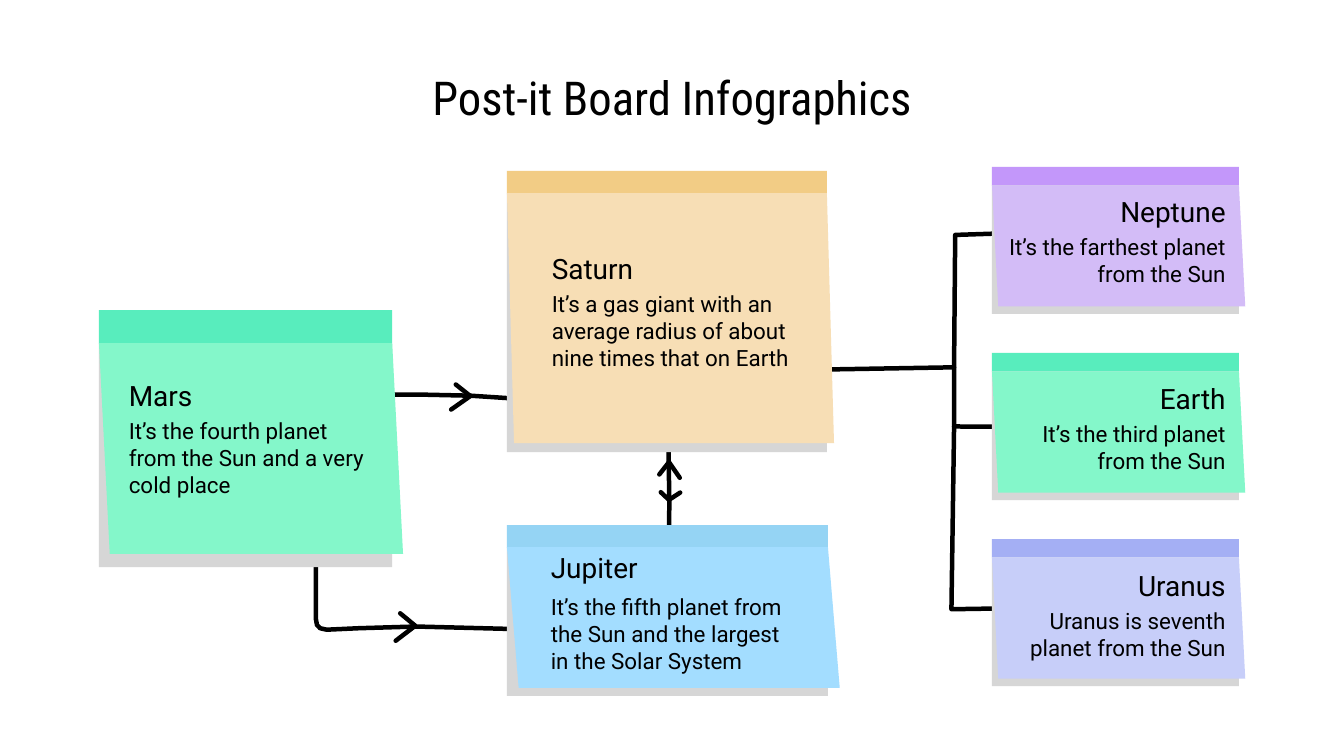
from lxml import etree
from pptx import Presentation
from pptx.dml.color import RGBColor
from pptx.enum.shapes import MSO_SHAPE
from pptx.enum.text import MSO_ANCHOR, PP_ALIGN
from pptx.oxml.ns import qn
from pptx.util import Pt

RECTANGLE = MSO_SHAPE.RECTANGLE
MIDDLE = MSO_ANCHOR.MIDDLE
LEFT, CENTER, RIGHT = PP_ALIGN.LEFT, PP_ALIGN.CENTER, PP_ALIGN.RIGHT

BLACK = RGBColor(0x00, 0x00, 0x00)
SHADOW = RGBColor(0xD6, 0xD6, 0xD6)
GREEN, GREEN_BAR = RGBColor(0x84, 0xF7, 0xCA), RGBColor(0x58, 0xED, 0xBD)
SAND, SAND_BAR = RGBColor(0xF7, 0xDE, 0xB5), RGBColor(0xF2, 0xCC, 0x85)
BLUE, BLUE_BAR = RGBColor(0xA3, 0xDD, 0xFF), RGBColor(0x95, 0xD4, 0xF4)
PURPLE, PURPLE_BAR = RGBColor(0xD3, 0xBC, 0xF7), RGBColor(0xC3, 0x97, 0xFA)
INDIGO, INDIGO_BAR = RGBColor(0xC7, 0xCE, 0xF9), RGBColor(0xA4, 0xAF, 0xF4)

presentation = Presentation()
presentation.slide_width, presentation.slide_height = Pt(720), Pt(405)
slide = presentation.slides.add_slide(presentation.slide_layouts[6])


def add_outline(contours, close):
    """Draw one freeform from lists of (x, y) points given in points."""
    contours = [[(Pt(x), Pt(y)) for x, y in contour] for contour in contours]
    builder = slide.shapes.build_freeform(*contours[0][0])
    for number, contour in enumerate(contours):
        if number:
            builder.move_to(*contour[0])
        builder.add_line_segments(contour[1:], close=close)
    shape = builder.convert_to_shape()
    shape.shadow.inherit = False
    return shape


def add_text(text, left, top, width, height, size, align, font_name="Roboto"):
    box = slide.shapes.add_textbox(Pt(left), Pt(top), Pt(width), Pt(height))
    frame = box.text_frame
    frame_format = {"word_wrap": True, "vertical_anchor": MIDDLE}
    frame_format.update({f"margin_{side}": Pt(7.2)
                         for side in ("left", "top", "right", "bottom")})
    for name, value in frame_format.items():
        setattr(frame, name, value)
    paragraph = frame.paragraphs[0]
    paragraph.alignment = align
    run = paragraph.add_run()
    run.text = text
    for name, value in {"name": font_name, "size": Pt(size)}.items():
        setattr(run.font, name, value)
    run.font.color.rgb = BLACK


add_text("Post-it Board Infographics", 55.8, 36, 608.4, 31.7, 25, CENTER,
         "Roboto Condensed")

# Hand-drawn arrows: each is one or more strokes
mars_to_jupiter = [
    [(169.9, 282.8), (169.2, 303), (169.2, 331.5), (169.8, 334.8), (171.5, 336.6),
     (175, 337.4), (192.2, 336.6), (223, 335.7), (285.8, 337.3)],
    [(214.4, 328.6), (222.5, 335.3), (212, 343.3)],
]
mars_to_saturn = [
    [(181.4, 211.7), (224.6, 211.4), (252, 212), (285.8, 214.2)],
    [(244.2, 206), (252, 212.2), (241.7, 219.4)],
]
saturn_to_small_notes = [
    [(544.3, 124.8), (511.7, 125.9), (511.1, 196), (511.1, 228.5), (509.7, 326.4),
     (574, 325.4)],
    [(441, 198), (511.1, 196.8)],
    [(511.1, 228.5), (597.6, 229)],
]
saturn_and_jupiter = [
    [(357.8, 221), (358.6, 269), (358, 317)],
    [(353.2, 254.2), (358.4, 247.6), (364.2, 256)],
    [(354, 263.7), (358.4, 267.8), (364.4, 263.9)],
]
for strokes in (mars_to_jupiter, mars_to_saturn, saturn_to_small_notes,
                saturn_and_jupiter):
    arrow = add_outline(strokes, close=False)
    arrow.fill.background()
    arrow.line.color.rgb = BLACK
    arrow.line.width = Pt(2.4)
    line = arrow._element.spPr.find(qn("a:ln"))
    line.set("cap", "rnd")
    etree.SubElement(line, qn("a:round"))

# Notes: left, top, width, bar height, paper height, shadow height, lean, colours
notes = [
    (53, 166.1, 157.1, 17.7, 113, 120, 5.8, GREEN, GREEN_BAR),
    (271.6, 91.6, 171.4, 11.8, 134, 138.8, 3.8, SAND, SAND_BAR),
    (271.6, 281.3, 172, 11.8, 75.4, 79.8, 6.3, BLUE, BLUE_BAR),
]
SMALL_LEFT, SMALL_TOP, SMALL_WIDTH, SMALL_STEP = 531.4, 89.4, 132.3, 99.7
small_colors = [(PURPLE, PURPLE_BAR), (GREEN, GREEN_BAR), (INDIGO, INDIGO_BAR)]
for row, colors in enumerate(small_colors):
    notes.append((SMALL_LEFT, SMALL_TOP + row * SMALL_STEP, SMALL_WIDTH,
                  9.9, 64.9, 68.9, 3.4, *colors))

for (left, top, width, bar_height, paper_height, shadow_height, lean,
     color, bar_color) in notes:
    fold = top + bar_height
    right, bottom = left + width, fold + paper_height
    shadow, bar = [
        slide.shapes.add_shape(RECTANGLE, Pt(left), Pt(y), Pt(width), Pt(height))
        for y, height in ((fold, shadow_height), (top, bar_height))
    ]
    corners = [(left, fold), (left + lean, bottom), (right + lean, bottom),
               (right, fold)]
    paper = add_outline([corners], close=True)
    for part, fill in ((shadow, SHADOW), (bar, bar_color), (paper, color)):
        part.shadow.inherit = False
        part.fill.solid()
        part.fill.fore_color.rgb = fill
        part.line.fill.background()

# Texts: planet, description, left, heading top, description top
large_texts = [
    ("Mars", "It’s the fourth planet from the Sun and a very cold place",
     61.9, 201.4, 222.1),
    ("Saturn", "It’s a gas giant with an average radius of about nine times "
     "that on Earth", 288.5, 133.3, 154),
    ("Jupiter", "It’s the fifth planet from the Sun and the largest in the "
     "Solar System", 288, 293.5, 316.3),
]
for planet, description, left, heading_top, description_top in large_texts:
    add_text(planet, left, heading_top, 144.7, 20.9, 15, LEFT)
    add_text(description, left, description_top, 144.7, 46, 12, LEFT)

small_texts = [
    ("Neptune", "It’s the farthest planet from the Sun"),
    ("Earth", "It’s the third planet from the Sun"),
    ("Uranus", "Uranus is seventh planet from the Sun"),
]
TEXT_STEP = 100.1
for row, (planet, description) in enumerate(small_texts):
    top = SMALL_TOP + row * TEXT_STEP
    add_text(planet, SMALL_LEFT, top + 13.4, SMALL_WIDTH, 20.9, 15, RIGHT)
    add_text(description, SMALL_LEFT, top + 36, SMALL_WIDTH, 28.1, 12, RIGHT)

presentation.save("out.pptx")
